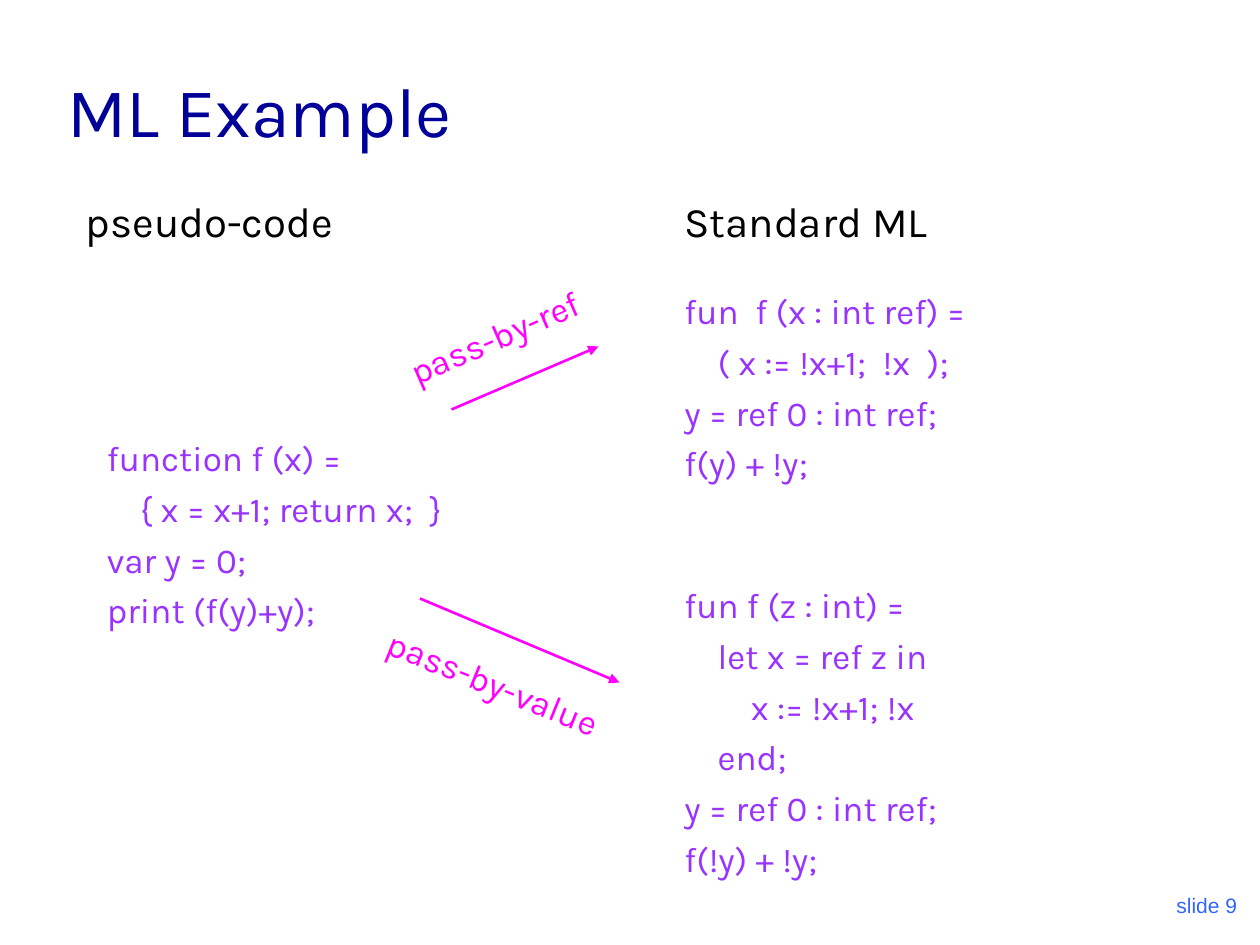
from pptx import Presentation
from pptx.dml.color import RGBColor
from pptx.enum.shapes import MSO_CONNECTOR as Line
from pptx.enum.text import MSO_ANCHOR as Anchor, MSO_AUTO_SIZE as Fit, PP_ALIGN as Align
from pptx.oxml.ns import qn
from pptx.util import Pt
from lxml.etree import SubElement

NAVY, BLACK, PURPLE, PINK, BLUE = "000099", "000000", "9933FF", "FF00FF", "3366FF"


def style(run, size, color, face="Karla"):
    run.font.size = Pt(size)
    run.font.name = face
    run.font.color.rgb = RGBColor.from_string(color)


def add_text(left, top, width, height, text, size, color, gap, face="Karla"):
    box = slide.shapes.add_textbox(Pt(left), Pt(top), Pt(width), Pt(height))
    box.text_frame.word_wrap = True
    para = box.text_frame.paragraphs[0]
    para.space_before = Pt(gap)
    run = para.add_run()
    run.text = text
    style(run, size, color, face)
    return box


prs = Presentation()
prs.slide_width, prs.slide_height = Pt(720), Pt(540)
slide = prs.slides.add_slide(prs.slide_layouts[5])

# Title
title = slide.shapes.title
title.left, title.top, title.width, title.height = Pt(31.5), Pt(18), Pt(612), Pt(72)
frame = title.text_frame
frame.auto_size = Fit.NONE
frame.vertical_anchor = Anchor.BOTTOM
para = frame.paragraphs[0]
para.alignment = Align.LEFT
run = para.add_run()
run.text = "ML Example"
style(run, 40, NAVY)

# Slide number
box = add_text(564, 492, 150, 36, "slide 9", 12, BLUE, 7.5, "Arial")
box.text_frame.vertical_anchor = Anchor.BOTTOM
box.text_frame.paragraphs[0].alignment = Align.RIGHT

# Column headings
for left, text in [(42, "pseudo-code"), (384, "Standard ML")]:
    add_text(left, 108, 192, 36, text, 24, BLACK, 15)

# Code blocks: each line is an indent step and its text
START, STEP = 36, 19
blocks = [
    (18, 246, 192, [
        (0, "function f (x) ="),
        (1, "{ x = x+1; return x;  }"),
        (0, "var y = 0;"),
        (0, "print (f(y)+y);"),
    ]),
    (348, 162, 168, [
        (0, "fun  f (x : int ref) ="),
        (1, "( x := !x+1;  !x  );"),
        (0, "y = ref 0 : int ref;"),
        (0, "f(y) + !y;"),
    ]),
    (348, 330, 180, [
        (0, "fun f (z : int) ="),
        (1, "let x = ref z in"),
        (2, "x := !x+1; !x"),
        (1, "end;"),
        (0, "y = ref 0 : int ref;"),
        (0, "f(!y) + !y;"),
    ]),
]
for left, top, height, lines in blocks:
    box = slide.shapes.add_textbox(Pt(left), Pt(top), Pt(288), Pt(height))
    frame = box.text_frame
    frame.word_wrap = True
    for i, (depth, text) in enumerate(lines):
        para = frame.add_paragraph() if i else frame.paragraphs[0]
        para.space_before = Pt(5)
        para._p.get_or_add_pPr().set("marL", str(Pt(START + STEP * depth)))
        run = para.add_run()
        run.text = text
        style(run, 20, PURPLE)

# Arrows from the pseudo-code to each ML version
for ends in [(258, 234, 342, 198), (240, 342, 354, 390)]:
    arrow = slide.shapes.add_connector(Line.STRAIGHT, *map(Pt, ends))
    arrow.line.color.rgb = RGBColor.from_string(PINK)
    arrow.line.width = Pt(1.5)
    SubElement(arrow.line._get_or_add_ln(), qn("a:tailEnd"), type="triangle")
    SubElement(arrow._element.spPr, qn("a:effectLst"))

# Arrow labels
for left, top, turn, text in [
    (222, 168, 336.5, "pass-by-ref"),
    (210, 378, 22.1, "pass-by-value"),
]:
    box = add_text(left, top, 162, 31.5, text, 20, PINK, 12.5)
    box.rotation = turn

prs.save("out.pptx")
